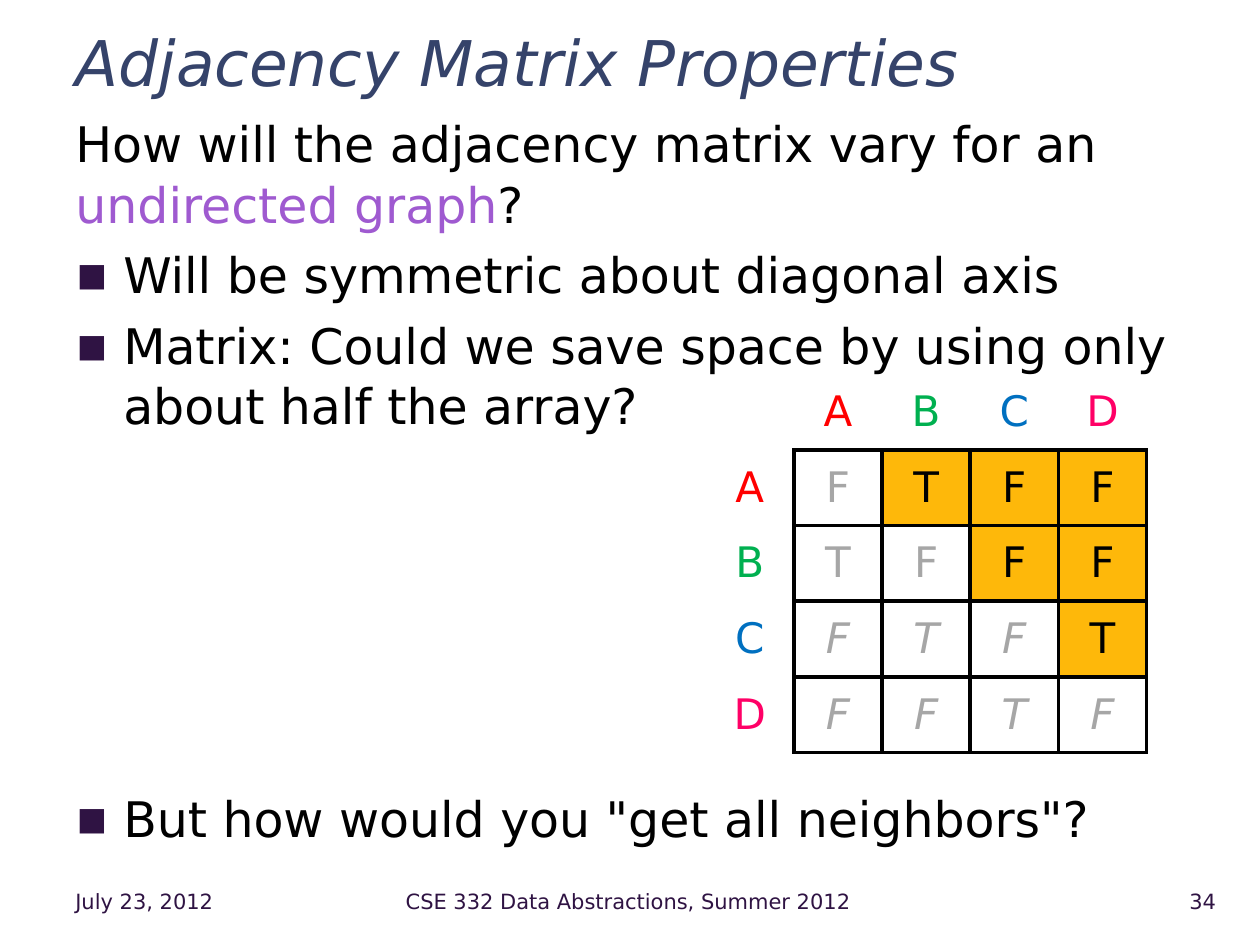
from lxml import etree
from pptx import Presentation
from pptx import util as u
from pptx.dml.color import RGBColor
from pptx.enum import text
from pptx.oxml.ns import qn

FONT = "DejaVu Sans"
COLORS = {
    "title": "35436A", "ink": "000000", "accent": "9F5AD0", "plum": "2F1343",
    "faded": "A6A6A6", "highlight": "FEB80A",
    "A": "FF0000", "B": "00B050", "C": "0070C0", "D": "FF0066",
}
VERTICES = "ABCD"
ADJACENCY = ["FTFF", "TFFF", "FTFT", "FFTF"]
LEFT, CENTER, RIGHT = text.PP_ALIGN.LEFT, text.PP_ALIGN.CENTER, text.PP_ALIGN.RIGHT


def share(deck, left, top, width, height):
    """Turn percentages of the slide into a box of lengths."""
    wide, high = deck.slide_width, deck.slide_height
    return [int(part * full / 100) for part, full in
            zip((left, top, width, height), (wide, high, wide, high))]


def add_span(para, words, size, color, italic=False):
    """Append one formatted run to a paragraph."""
    span = para.add_run()
    span.text = words
    span.font.name = FONT
    span.font.size = u.Pt(size)
    span.font.italic = italic
    span.font.color.rgb = RGBColor.from_string(COLORS[color])


def add_bullet(para):
    """Give a paragraph a hanging square bullet."""
    props = para._p.get_or_add_pPr()
    props.set("marL", str(u.Inches(0.38)))
    props.set("indent", str(-u.Inches(0.38)))
    color = etree.SubElement(props, qn("a:buClr"))
    etree.SubElement(color, qn("a:srgbClr"), val=COLORS["plum"])
    etree.SubElement(props, qn("a:buFont"), typeface=FONT)
    etree.SubElement(props, qn("a:buChar"), char="▪")


def add_frame(page, box, anchor):
    """Add a wrapping text box and return its frame."""
    frame = page.shapes.add_textbox(*box).text_frame
    frame.word_wrap = True
    frame.vertical_anchor = anchor
    return frame


def fill_title(page, box):
    """Place and format the title placeholder."""
    title = page.shapes.title
    title.left, title.top, title.width, title.height = box
    frame = title.text_frame
    frame.word_wrap = True
    frame.auto_size = text.MSO_AUTO_SIZE.NONE
    frame.vertical_anchor = text.MSO_ANCHOR.MIDDLE
    para = frame.paragraphs[0]
    para.alignment = LEFT
    para.line_spacing = 1.1
    add_span(para, "Adjacency Matrix Properties", 36, "title", True)


def add_body(page, box):
    """Write the question and its bullets, leaving room for the matrix."""
    frame = add_frame(page, box, text.MSO_ANCHOR.TOP)
    question = frame.paragraphs[0]
    question.line_spacing = 1.03
    for words, color in [("How will the adjacency matrix vary for an ", "ink"),
                         ("undirected graph", "accent"), ("?", "ink")]:
        add_span(question, words, 28, color)
    bullets = [
        ("Will be symmetric about diagonal axis", 5.6),
        ("Matrix: Could we save space by using only about half the array?", 5.6),
        ('But how would you "get all neighbors"?', 201),
    ]
    for words, gap in bullets:
        para = frame.add_paragraph()
        add_bullet(para)
        para.line_spacing = 1.03
        para.space_before = u.Pt(gap)
        add_span(para, words, 28, "ink")


def set_borders(cell, sides):
    """Draw the named sides of a cell and clear the others."""
    props = cell._tc.get_or_add_tcPr()
    for place, side in enumerate("LRTB"):
        line = etree.Element(qn(f"a:ln{side}"), w=str(u.Pt(2.25)))
        if side in sides:
            solid = etree.SubElement(line, qn("a:solidFill"))
            etree.SubElement(solid, qn("a:srgbClr"), val=COLORS["ink"])
        else:
            etree.SubElement(line, qn("a:noFill"))
        props.insert(place, line)


def fill_cell(cell, words, color, sides, fill=None, italic=False):
    """Write and format one cell of the matrix."""
    cell.margin_left = cell.margin_right = u.Inches(0.1)
    cell.margin_top = cell.margin_bottom = u.Inches(0.1)
    cell.vertical_anchor = text.MSO_ANCHOR.MIDDLE
    if fill:
        cell.fill.solid()
        cell.fill.fore_color.rgb = RGBColor.from_string(COLORS[fill])
    else:
        cell.fill.background()
    set_borders(cell, sides)
    if words:
        para = cell.text_frame.paragraphs[0]
        para.alignment = CENTER
        add_span(para, words, 24, color, italic)


def add_matrix(page, box):
    """Add the adjacency matrix with its upper triangle highlighted."""
    count = len(VERTICES) + 1
    table = page.shapes.add_table(count, count, *box).table
    table.first_row = table.horz_banding = False
    fill_cell(table.cell(0, 0), "", "ink", "")
    for place, vertex in enumerate(VERTICES, 1):
        fill_cell(table.cell(0, place), vertex, vertex, "B")
        fill_cell(table.cell(place, 0), vertex, vertex, "R")
    for row, values in enumerate(ADJACENCY):
        for column, value in enumerate(values):
            cell = table.cell(row + 1, column + 1)
            if column > row:
                fill_cell(cell, value, "ink", "LRTB", "highlight")
            else:
                fill_cell(cell, value, "faded", "LRTB", italic=row >= 2)


def add_footer(page, box):
    """Write date, course and page number along the bottom."""
    left, top, width, height = box
    parts = [("July 23, 2012", 0, 0.19, LEFT),
             ("CSE 332 Data Abstractions, Summer 2012", 0.2, 0.57, CENTER),
             ("34", 0.9, 0.1, RIGHT)]
    for words, start, extent, alignment in parts:
        area = (left + int(start * width), top, int(extent * width), height)
        para = add_frame(page, area, text.MSO_ANCHOR.MIDDLE).paragraphs[0]
        para.alignment = alignment
        add_span(para, words, 12, "plum")


def main():
    """Build and save the slide."""
    deck = Presentation()
    deck.slide_width, deck.slide_height = u.Inches(10), u.Inches(7.5)
    page = deck.slides.add_slide(deck.slide_layouts[5])
    fill_title(page, share(deck, 5, 2.6, 92.5, 7))
    add_body(page, share(deck, 5, 11.2, 92.5, 80))
    add_footer(page, share(deck, 5, 92.67, 92.5, 5.33))
    add_matrix(page, share(deck, 56, 39.6, 35, 39.33))
    deck.save("out.pptx")


if __name__ == "__main__":
    main()
